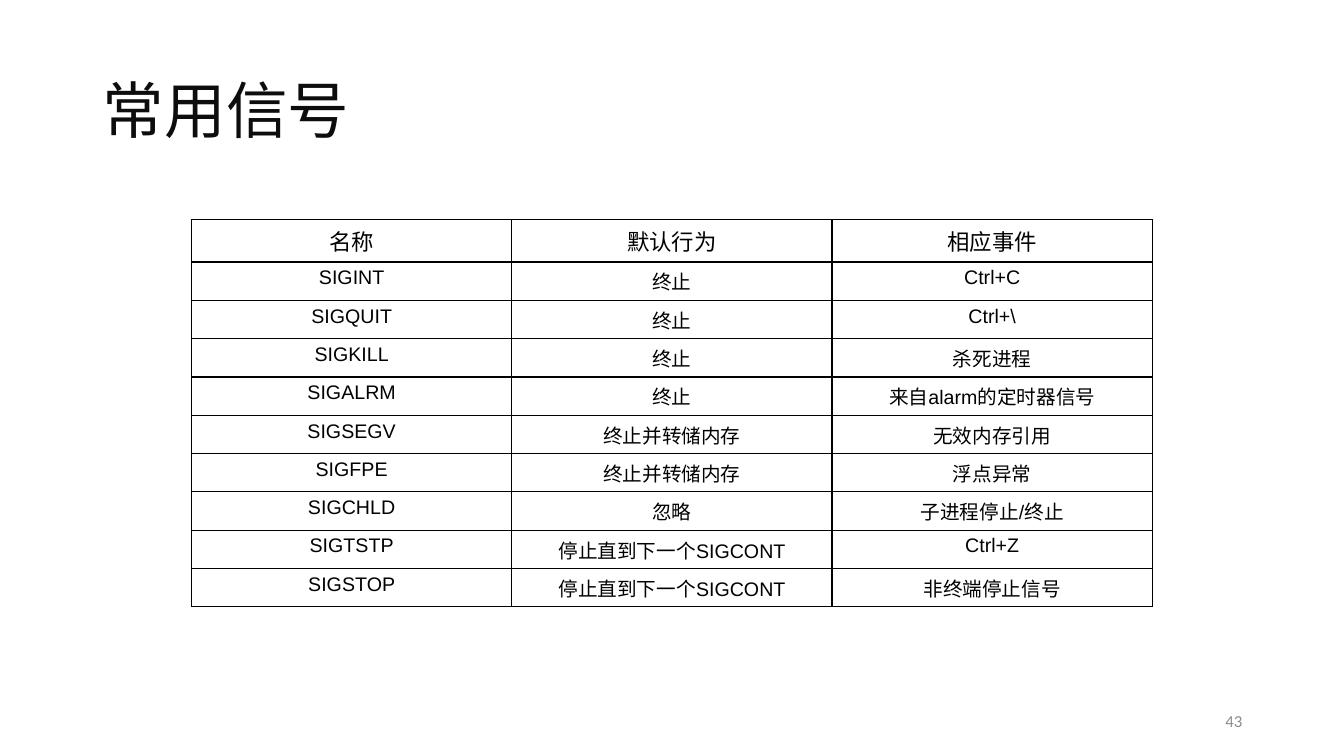
from lxml import etree
from pptx import Presentation
from pptx.dml.color import RGBColor
from pptx.enum.text import MSO_ANCHOR, PP_ALIGN
from pptx.oxml.ns import qn
from pptx.util import Pt

PX = 9144
MIDDLE = MSO_ANCHOR.MIDDLE
LEFT, CENTER, RIGHT = PP_ALIGN.LEFT, PP_ALIGN.CENTER, PP_ALIGN.RIGHT
BLACK = RGBColor(0x00, 0x00, 0x00)
INK = RGBColor(0x0D, 0x0D, 0x0D)
GRAY = RGBColor(0x8C, 0x8C, 0x8C)

TITLE = {"name": "Arial", "size": Pt(44), "bold": False}
HEAD = {"name": "Arial", "size": Pt(16), "bold": False}
BODY = {"name": "Arial", "size": Pt(14), "bold": False}
PAGE = {"name": "Calibri", "size": Pt(12)}

SIGNALS = [
    ("名称", "默认行为", "相应事件"),
    ("SIGINT", "终止", "Ctrl+C"),
    ("SIGQUIT", "终止", "Ctrl+\\"),
    ("SIGKILL", "终止", "杀死进程"),
    ("SIGALRM", "终止", "来自alarm的定时器信号"),
    ("SIGSEGV", "终止并转储内存", "无效内存引用"),
    ("SIGFPE", "终止并转储内存", "浮点异常"),
    ("SIGCHLD", "忽略", "子进程停止/终止"),
    ("SIGTSTP", "停止直到下一个SIGCONT", "Ctrl+Z"),
    ("SIGSTOP", "停止直到下一个SIGCONT", "非终端停止信号"),
]


def scale(*sizes):
    return [size * PX for size in sizes]


def write(frame, text, style, color, align):
    frame.text = text
    line = frame.paragraphs[0]
    line.alignment = align
    font = line.runs[0].font
    for key, value in style.items():
        setattr(font, key, value)
    font.color.rgb = color
    return line


def add_title(slide, text, box):
    title = slide.shapes.title
    title.left, title.top, title.width, title.height = scale(*box)
    frame = title.text_frame
    frame.vertical_anchor = MIDDLE
    frame.word_wrap = True
    write(frame, text, TITLE, INK, LEFT).line_spacing = 0.9


def add_page(slide, text, box):
    frame = slide.shapes.add_textbox(*scale(*box)).text_frame
    frame.word_wrap = True
    frame.vertical_anchor = MIDDLE
    write(frame, text, PAGE, GRAY, RIGHT)


def add_edges(cell):
    props = cell._tc.get_or_add_tcPr()
    for side in ("lnL", "lnR", "lnT", "lnB"):
        edge = etree.SubElement(props, qn(f"a:{side}"), w=str(Pt(1)))
        fill = etree.SubElement(edge, qn("a:solidFill"))
        etree.SubElement(fill, qn("a:srgbClr"), val=str(BLACK))


def add_grid(slide, rows, box, first, rest):
    grid = slide.shapes.add_table(len(rows), len(rows[0]), *scale(*box)).table
    grid.first_row = grid.horz_banding = False
    for col in grid.columns:
        col.width = box[2] * PX // len(rows[0])
    for i, row in enumerate(rows):
        grid.rows[i].height = (rest if i else first) * PX
        for j, text in enumerate(row):
            cell = grid.cell(i, j)
            add_edges(cell)
            cell.fill.background()
            write(cell.text_frame, text, BODY if i else HEAD, BLACK, CENTER)


def main():
    deck = Presentation()
    deck.slide_width, deck.slide_height = scale(1333, 750)
    slide = deck.slides.add_slide(deck.slide_layouts[5])
    add_title(slide, "常用信号", (92, 40, 1150, 145))
    add_page(slide, "43", (942, 695, 300, 40))
    add_grid(slide, SIGNALS, (190, 218, 953, 389), 42, 38)
    deck.save("out.pptx")


if __name__ == "__main__":
    main()
